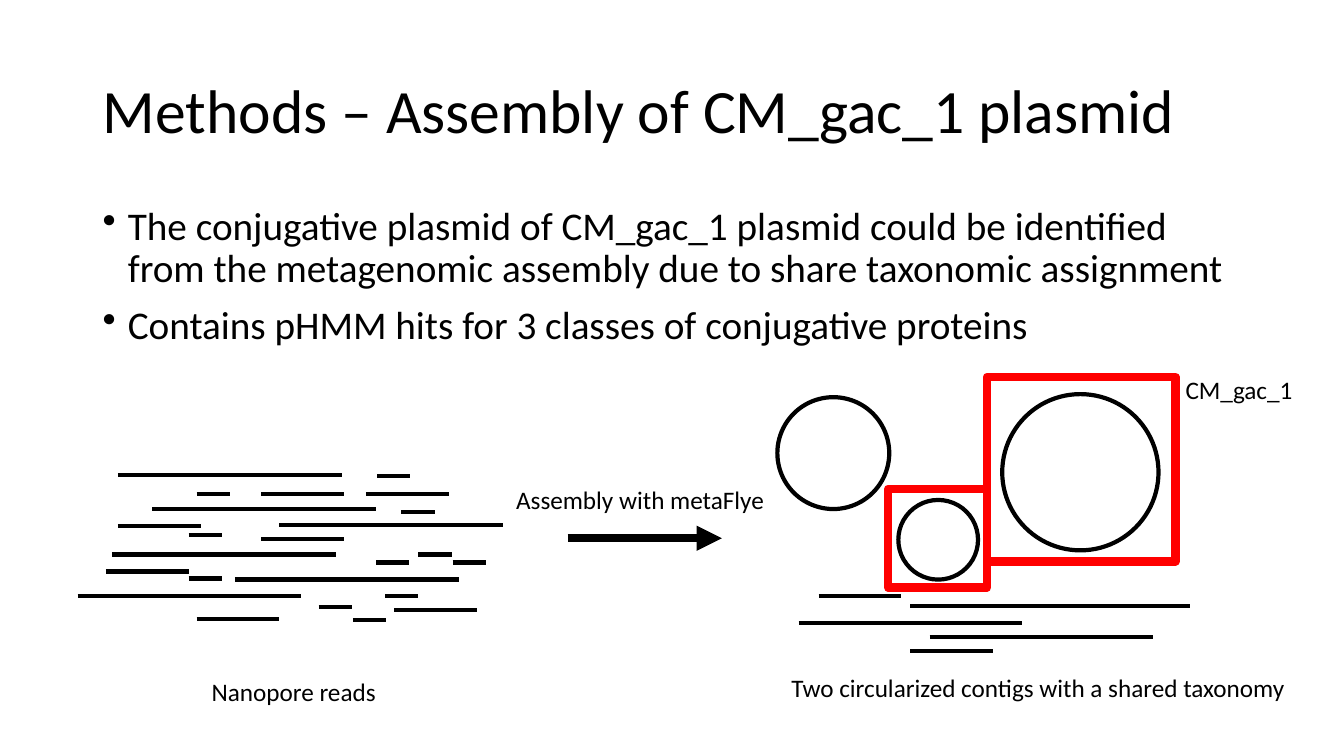
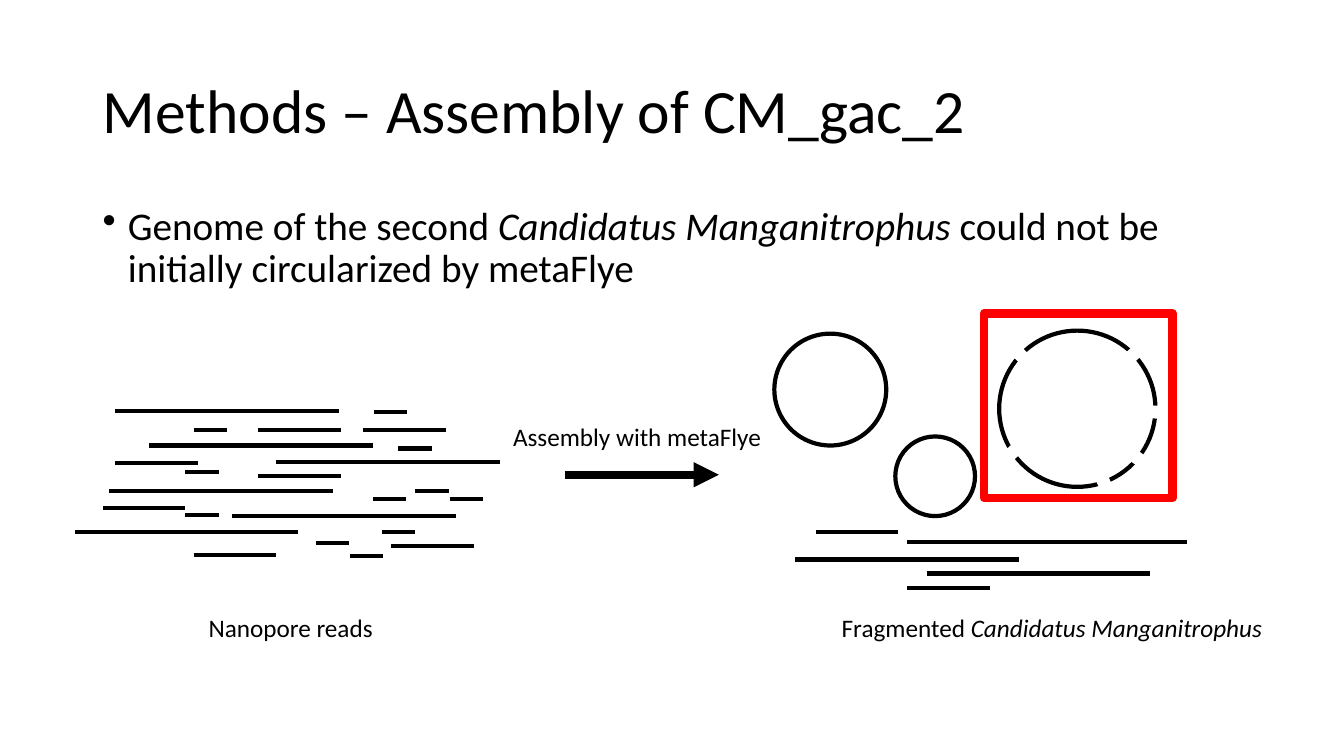
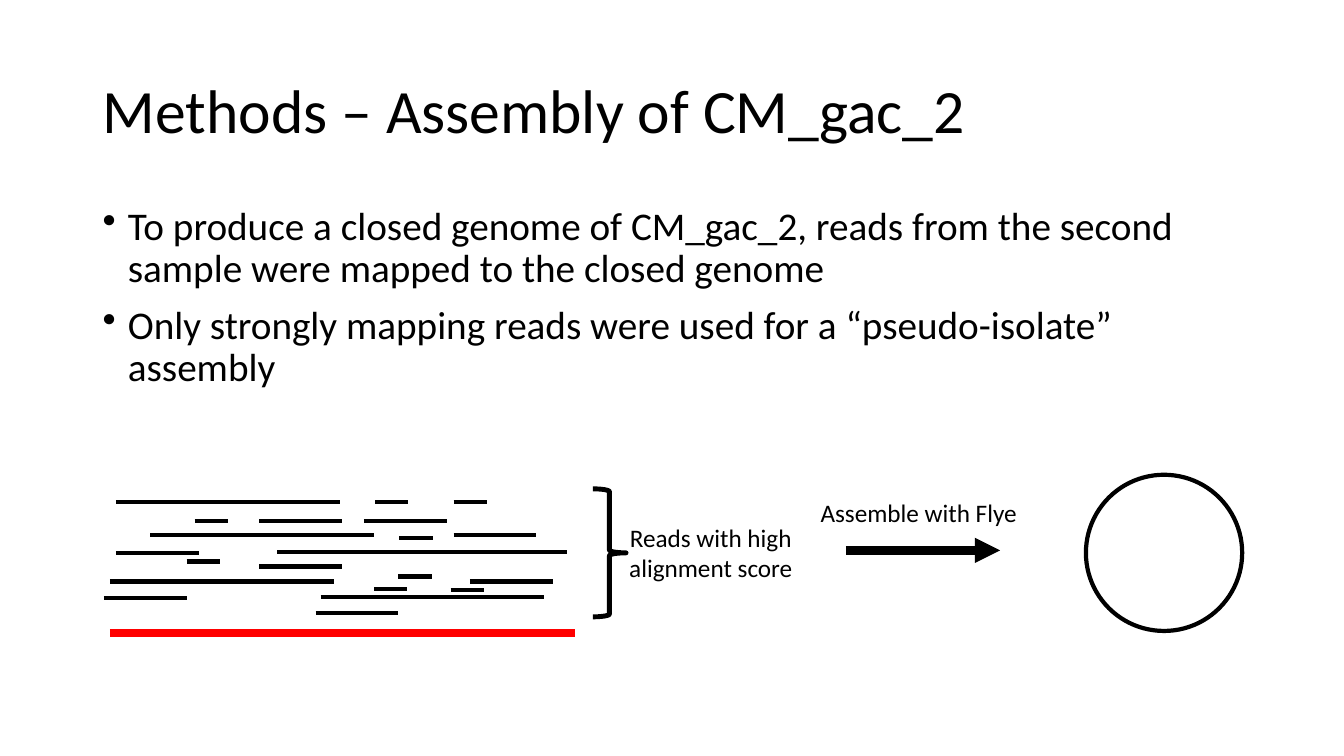
import pptx
import pptx.util
import pptx.dml.color
import pptx.enum.shapes
import pptx.enum.text
import pptx.oxml.ns
import lxml.etree

SHAPES = pptx.enum.shapes.MSO_SHAPE
ANCHOR = pptx.enum.text.MSO_ANCHOR
ALIGN = pptx.enum.text.PP_ALIGN
AUTO_SIZE = pptx.enum.text.MSO_AUTO_SIZE

PX = 9144  # 100 px to the inch
BLACK, WHITE, RED = "000000", "FFFFFF", "FF0000"
FONT = "Calibri"
LONG, MID, SHORT = 222, 82, 33
GENOME = 155

# Line length: left and top of each line within its region
READS = {
    LONG: [(40, 0), (0, 120), (74, 34), (34, 79), (200, 50), (156, 104)],
    MID: [(28, 96), (118, 143), (40, 51), (182, 19), (182, 64), (314, 134), (286, 19)],
    SHORT: [(110, 60), (239, 131), (296, 87), (372, 87), (338, 79), (305, 120),
            (321, 37), (273, 144), (297, 1), (110, 103), (118, 19)],
}
LINEAR_CONTIGS = {
    277: [(826, 227)],
    LONG: [(845, 258), (715, 244)],
    MID: [(826, 272), (735, 217)],
}
MAPPED_READS = {
    287: [(172, 50)],
    LONG: [(12, 0), (46, 33), (6, 79), (215, 94)],
    MID: [(0, 95), (12, 51), (154, 19), (154, 64), (258, 19), (210, 110),
          (363, 79), (347, 33)],
    SHORT: [(82, 59), (268, 86), (344, 87), (347, 0), (293, 36), (269, 0),
            (90, 19), (292, 74)],
}
GENOME_GAPS = [(85, 67, 146, 12), (83, 108, 106, 155), (69, 77, 146, 133),
               (75, 78, 161, 81), (4, 129, 66, 74), (83, 86, 15, 18)]


def px(*lengths):
    return [pptx.util.Emu(length * PX) for length in lengths]


def rgb(hex_color):
    return pptx.dml.color.RGBColor.from_string(hex_color)


def set_bullet(paragraph):
    properties = paragraph._p.get_or_add_pPr()
    indent = str(25 * PX)
    properties.set("marL", indent)
    properties.set("indent", "-" + indent)
    bullet = lxml.etree.SubElement(properties, pptx.oxml.ns.qn("a:buChar"))
    bullet.set("char", "•")


def add_text(slide, box, *paragraphs, size=18, wrap=False, anchor=ANCHOR.TOP,
             align=ALIGN.LEFT, spacing=None, before=0, bullets=False):
    """Add a text box; words between asterisks are italic."""
    frame = slide.shapes.add_textbox(*px(*box)).text_frame
    frame.word_wrap = wrap
    frame.auto_size = AUTO_SIZE.NONE if wrap else AUTO_SIZE.SHAPE_TO_FIT_TEXT
    frame.vertical_anchor = anchor
    for index, text in enumerate(paragraphs):
        paragraph = frame.paragraphs[0] if index == 0 else frame.add_paragraph()
        paragraph.alignment = align
        if spacing:
            paragraph.line_spacing = spacing
        if index and before:
            paragraph.space_before = pptx.util.Pt(before)
        if bullets:
            set_bullet(paragraph)
        for part, words in enumerate(text.split("*")):
            run = paragraph.add_run()
            run.text = words
            run.font.name = FONT
            run.font.size = pptx.util.Pt(size)
            run.font.color.rgb = rgb(BLACK)
            if part % 2:
                run.font.italic = True


def add_outline(slide, preset, box, color=BLACK, weight=3, fill=WHITE):
    shape = slide.shapes.add_shape(preset, *px(*box))
    shape.shadow.inherit = False
    if fill:
        shape.fill.solid()
        shape.fill.fore_color.rgb = rgb(fill)
    else:
        shape.fill.background()
    shape.line.color.rgb = rgb(color)
    shape.line.width = pptx.util.Pt(weight)


def add_circle(slide, x, y, diameter):
    add_outline(slide, SHAPES.OVAL, (x, y, diameter, diameter))


def add_frame(slide, x, y, width, height):
    add_outline(slide, SHAPES.RECTANGLE, (x, y, width, height), color=RED, weight=6)


def add_line(slide, x1, y1, x2, y2, color=BLACK, weight=3, arrow=False):
    line = slide.shapes.add_connector(
        pptx.enum.shapes.MSO_CONNECTOR.STRAIGHT, *px(x1, y1, x2, y2))
    line.line.color.rgb = rgb(color)
    line.line.width = pptx.util.Pt(weight)
    if arrow:
        head = lxml.etree.SubElement(line.line._get_or_add_ln(),
                                     pptx.oxml.ns.qn("a:tailEnd"))
        head.set("type", "triangle")
    lxml.etree.SubElement(line._element.spPr, pptx.oxml.ns.qn("a:effectLst"))


def add_sequences(slide, x, y, sequences):
    for length, starts in sequences.items():
        for dx, dy in starts:
            add_line(slide, x + dx, y + dy, x + dx + length, y + dy)


def add_assembly_arrow(slide, x, y, label, label_width):
    length = 153
    add_line(slide, x, y, x + length, y, weight=6, arrow=True)
    label_left = x + (length - label_width) // 2 - 3
    add_text(slide, (label_left, y - 58, label_width, 40), label)


def add_assembly_diagram(slide, x, y, plasmid_framed=False, genome_broken=False):
    """Reads on the left, an arrow, and the resulting contigs on the right."""
    if plasmid_framed:
        add_frame(slide, x + 804, y + 111, 98, 98)
    add_frame(slide, x + 902, y, 187, 183)

    add_sequences(slide, x, y + 97, READS)
    add_text(slide, (x + 123, y + 292, 185, 40), "Nanopore reads")
    add_assembly_arrow(slide, x + 486, y + 160, "Assembly with metaFlye", 269)

    genome_x, genome_y = x + 917, y + 17
    add_circle(slide, x + 694, y + 20, 111)
    add_circle(slide, x + 814, y + 122, 79)
    add_circle(slide, genome_x, genome_y, GENOME)
    add_sequences(slide, x, y, LINEAR_CONTIGS)
    if genome_broken:
        for x1, y1, x2, y2 in GENOME_GAPS:
            add_line(slide, genome_x + x1, genome_y + y1, genome_x + x2,
                     genome_y + y2, color=WHITE, weight=9.25)


def add_mapping_diagram(slide, x, y):
    """Reads mapped to a red reference, then assembled into one circle."""
    add_line(slide, x + 6, y + 130, x + 467, y + 130, color=RED, weight=6)
    add_sequences(slide, x, y, MAPPED_READS)
    add_outline(slide, SHAPES.RIGHT_BRACE, (x + 485, y - 13, 33, 127),
                weight=3.5, fill=None)
    add_text(slide, (x + 509, y + 15, 186, 71), "Reads with high",
             "alignment score", align=ALIGN.CENTER)
    add_assembly_arrow(slide, x + 736, y + 48, "Assemble with Flye", 217)
    add_circle(slide, x + 974, y - 27, GENOME)


def add_methods_slide(deck, subject, *points, body_height=476):
    slide = deck.slides.add_slide(deck.slide_layouts[6])
    add_text(slide, (92, 40, 1150, 145), "Methods – Assembly of " + subject,
             size=44, wrap=True, anchor=ANCHOR.MIDDLE, spacing=0.9)
    add_text(slide, (92, 200, 1150, body_height), *points, size=28, wrap=True,
             spacing=0.9, before=10, bullets=True)
    return slide


def main():
    deck = pptx.Presentation()
    deck.slide_width, deck.slide_height = px(1333, 750)

    plasmid = add_methods_slide(
        deck, "CM_gac_1 plasmid",
        "The conjugative plasmid of CM_gac_1 plasmid could be identified from the "
        "metagenomic assembly due to share taxonomic assignment",
        "Contains pHMM hits for 3 classes of conjugative proteins", body_height=160)
    add_assembly_diagram(plasmid, 77, 374, plasmid_framed=True)
    add_text(plasmid, (775, 662, 515, 40),
             "Two circularized contigs with a shared taxonomy")
    add_text(plasmid, (1166, 366, 128, 40), "CM_gac_1")

    fragmented = add_methods_slide(
        deck, "CM_gac_2",
        "Genome of the second *Candidatus Manganitrophus* could not be initially "
        "circularized by metaFlye")
    add_assembly_diagram(fragmented, 74, 311, genome_broken=True)
    add_text(fragmented, (825, 603, 447, 40), "Fragmented *Candidatus Manganitrophus*")

    closed = add_methods_slide(
        deck, "CM_gac_2",
        "To produce a closed genome of CM_gac_2, reads from the second sample were "
        "mapped to the closed genome",
        "Only strongly mapping reads were used for a “pseudo-isolate” assembly")
    add_mapping_diagram(closed, 103, 498)

    deck.save("out.pptx")


if __name__ == "__main__":
    main()
